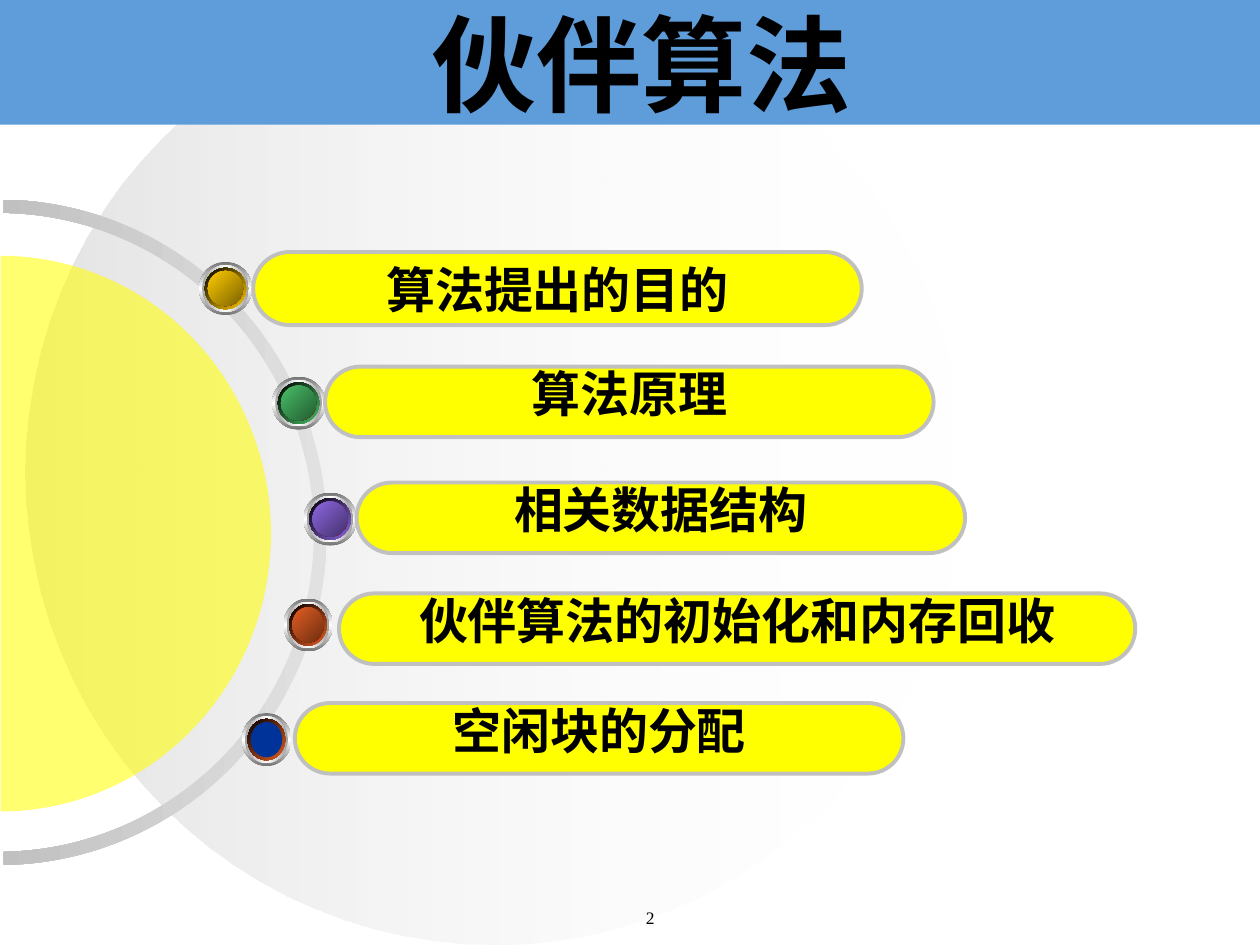
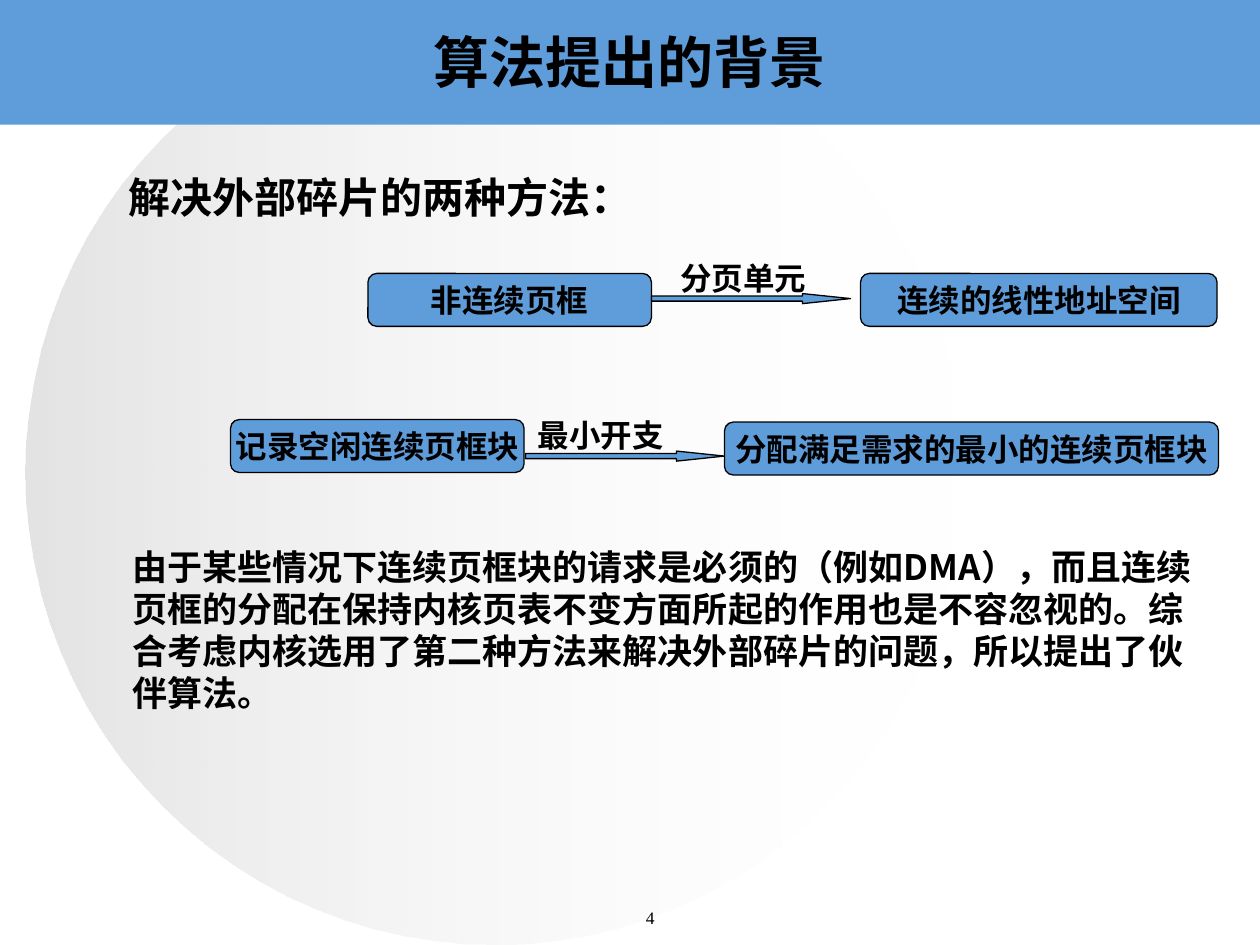
"""Build two slides that introduce the buddy algorithm."""
from dataclasses import dataclass
from typing import NamedTuple, Optional, Union

from lxml import etree
from pptx import Presentation
from pptx.dml.color import RGBColor
from pptx.enum.shapes import MSO_SHAPE
from pptx.enum.text import MSO_ANCHOR, PP_ALIGN
from pptx.oxml.ns import qn
from pptx.shapes.autoshape import Shape
from pptx.slide import Slide
from pptx.util import Inches, Pt

OVAL, RECT, ARC = MSO_SHAPE.OVAL, MSO_SHAPE.RECTANGLE, MSO_SHAPE.BLOCK_ARC
PILL, ARROW = MSO_SHAPE.ROUNDED_RECTANGLE, MSO_SHAPE.RIGHT_ARROW
NODE = MSO_SHAPE.FLOWCHART_ALTERNATE_PROCESS
MID, TOP = MSO_ANCHOR.MIDDLE, MSO_ANCHOR.TOP
LEFT, CENTER = PP_ALIGN.LEFT, PP_ALIGN.CENTER

SANS, CJK, SERIF = "Arial", "Noto Sans CJK SC", "Times New Roman"
HEX = {
    "black": "000000", "white": "FFFFFF", "pale": "FEFEFE",
    "band": "5E9CDA", "yellow": "FFFF00", "silver": "C0C0C0",
    "mist": "E1E1E1", "steel": "757575", "ash": "A1A1A1",
    "red": "FF0000", "wine": "890000", "navy": "003399",
    "gold": "FFCC00", "bronze": "7B6200", "green": "48BE67",
    "pine": "225C31", "violet": "8D67E1", "plum": "44316C",
    "rust": "E35E23", "brown": "6D2D10",
}


class Box(NamedTuple):
    left: float
    top: float
    width: float
    height: float


class Tint(NamedTuple):
    name: str
    alpha: int = 100


class Blend(NamedTuple):
    angle: int
    tints: tuple[Tint, ...]


Fill = Union[Tint, Blend]


class Style(NamedTuple):
    size: int
    font: str = SANS
    bold: bool = True
    align: PP_ALIGN = CENTER
    anchor: MSO_ANCHOR = MID


@dataclass
class Topic:
    text: str
    bar: Box
    ball: Box
    hue: str
    core: Fill
    lift: float = 0.14


@dataclass
class Step:
    start: str
    label: str
    goal: str
    first: Box
    last: Box
    arrow: Box
    note: Box


def blend(angle: int, *names: str) -> Blend:
    return Blend(angle, tuple(Tint(name) for name in names))


def add_tint(parent: etree._Element, tint: Tint) -> None:
    color = etree.SubElement(parent, qn("a:srgbClr"), val=HEX[tint.name])
    if tint.alpha < 100:
        etree.SubElement(color, qn("a:alpha"), val=str(tint.alpha * 1000))


def paint(shape: Shape, fill: Fill) -> None:
    props = shape._element.spPr
    if isinstance(fill, Tint):
        node = etree.Element(qn("a:solidFill"))
        add_tint(node, fill)
    else:
        node = etree.Element(qn("a:gradFill"), rotWithShape="1")
        stops = etree.SubElement(node, qn("a:gsLst"))
        for i, tint in enumerate(fill.tints):
            pos = str(100000 * i // (len(fill.tints) - 1))
            add_tint(etree.SubElement(stops, qn("a:gs"), pos=pos), tint)
        etree.SubElement(node, qn("a:lin"), ang=str(fill.angle * 60000), scaled="1")
    props.find(qn("a:prstGeom")).addnext(node)


def add_form(shapes, kind: MSO_SHAPE, box: Box, fill: Fill, line: str = "",
             weight: float = 0.75, bends: tuple[float, ...] = ()) -> Shape:
    shape = shapes.add_shape(kind, *map(Inches, box))
    shape.shadow.inherit = False
    paint(shape, fill)
    for i, bend in enumerate(bends):
        shape.adjustments[i] = bend
    if line:
        shape.line.color.rgb = RGBColor.from_string(HEX[line])
        shape.line.width = Pt(weight)
    else:
        shape.line.fill.background()
    return shape


def write(shape: Shape, text: str, style: Style, wrap: bool = True) -> None:
    frame = shape.text_frame
    frame.word_wrap = wrap
    frame.vertical_anchor = style.anchor
    para = frame.paragraphs[0]
    para.text = text
    para.alignment = style.align
    para.line_spacing = Pt(round(style.size * 1.2))
    para.font.size = Pt(style.size)
    para.font.name = style.font
    para.font.bold = style.bold
    para.font.color.rgb = RGBColor.from_string(HEX["black"])


def add_text(slide: Slide, box: Box, text: str, style: Style) -> Shape:
    shape = slide.shapes.add_textbox(*map(Inches, box))
    write(shape, text, style)
    return shape


DISC = Blend(180, (Tint("pale", 0), Tint("silver", 44)))
PAGE = Style(10, SERIF, bold=False, anchor=TOP)
LABEL = Style(18, align=LEFT, anchor=TOP)


def add_slide(deck, title: str, box: Box, size: int, page: str) -> Slide:
    slide = deck.slides.add_slide(deck.slide_layouts[6])
    add_form(slide.shapes, OVAL, Box(0.2, 0, 7.44, 7.5), DISC)
    add_form(slide.shapes, RECT, Box(0, 0, 10, 0.99), Tint("band"))
    add_text(slide, box, title, Style(size, CJK))
    foot = add_text(slide, Box(4.58, 7.15, 0.92, 0.29), page, PAGE)
    foot.text_frame.margin_left = Inches(0.34)
    return slide


def add_ball(slide: Slide, topic: Topic) -> None:
    group = slide.shapes.add_group_shape()
    glow = [blend(135, "wine", "red", "wine")] if isinstance(topic.core, Blend) else []
    layers = [
        (0, [blend(90, "steel", "white", "steel")]),
        (0.05, [blend(180, "ash", "white", "ash")]),
        (0.09, [blend(225, "pale", "red", "pale"), blend(225, topic.hue, "black")]),
        (0.14, glow + [topic.core]),
    ]
    left, top, width, height = topic.ball
    for trim, fills in layers:
        box = Box(left + trim / 2, top + trim / 2, width - trim, height - trim)
        for fill in fills:
            add_form(group.shapes, OVAL, box, fill)


def add_bar(slide: Slide, topic: Topic) -> None:
    bar = add_form(slide.shapes, PILL, topic.bar, Tint("yellow"), "silver", 2.25, (0.5,))
    bar.text_frame.margin_top = 0
    bar.text_frame.margin_bottom = Inches(topic.lift)
    write(bar, topic.text, Style(28))


def add_step(slide: Slide, step: Step) -> None:
    band = Tint("band")
    for text, box in ((step.start, step.first), (step.goal, step.last)):
        node = add_form(slide.shapes, NODE, box, band, "black")
        write(node, text, Style(18), wrap=False)
    add_form(slide.shapes, ARROW, step.arrow, band, "black", bends=(0.5, 4.77))
    add_text(slide, step.note, step.label, LABEL)


TOPICS = [
    Topic("算法提出的目的", Box(2.01, 2, 4.83, 0.58), Box(1.58, 2.08, 0.42, 0.42),
          "gold", blend(225, "bronze", "gold"), 0),
    Topic("算法原理", Box(2.58, 2.91, 4.83, 0.56), Box(2.16, 2.99, 0.42, 0.42),
          "green", blend(225, "pine", "green")),
    Topic("相关数据结构", Box(2.83, 3.83, 4.83, 0.56), Box(2.41, 3.91, 0.42, 0.42),
          "violet", blend(225, "plum", "violet")),
    Topic("伙伴算法的初始化和内存回收", Box(2.69, 4.71, 6.32, 0.56),
          Box(2.25, 4.75, 0.39, 0.42), "rust", blend(225, "brown", "rust")),
    Topic("空闲块的分配", Box(2.34, 5.58, 4.83, 0.56), Box(1.92, 5.66, 0.39, 0.42),
          "rust", Tint("navy")),
]
STEPS = [
    Step("非连续页框", "分页单元", "连续的线性地址空间",
         Box(2.92, 2.17, 2.25, 0.42), Box(6.83, 2.17, 2.83, 0.42),
         Box(5.17, 2.33, 1.58, 0.08), Box(5.3, 2, 1.29, 0.4)),
    Step("记录空闲连续页框块", "最小开支", "分配满足需求的最小的连续页框块",
         Box(1.83, 3.33, 2.33, 0.42), Box(5.75, 3.35, 3.92, 0.42),
         Box(4.17, 3.58, 1.58, 0.08), Box(4.17, 3.25, 1.29, 0.4)),
]
REASON = (
    "由于某些情况下连续页框块的请求是必须的（例如DMA），而且连续页框的分配在保持"
    "内核页表不变方面所起的作用也是不容忽视的。综合考虑内核选用了第二种方法来解决"
    "外部碎片的问题，所以提出了伙伴算法。"
)


def add_agenda(deck) -> None:
    slide = add_slide(deck, " 伙伴算法", Box(0, 0, 10, 1), 60, "2")
    ring = add_form(slide.shapes, ARC, Box(-2.65, 1.62, 5.28, 5.21),
                    blend(90, "mist", "silver", "mist"), bends=(108.52, 215.48, 0.02))
    half = add_form(slide.shapes, ARC, Box(-2.2, 2.09, 4.41, 4.29),
                    Tint("yellow", 56), bends=(108, 0, 0.5))
    ring.rotation = half.rotation = 90
    for topic in TOPICS:
        add_ball(slide, topic)
        add_bar(slide, topic)


def add_cause(deck) -> None:
    slide = add_slide(deck, "算法提出的背景", Box(0.51, 0.22, 8.98, 0.53), 32, "4")
    add_text(slide, Box(0.92, 1.31, 8.63, 0.5), "解决外部碎片的两种方法：",
             Style(24, CJK, align=LEFT, anchor=TOP))
    for step in STEPS:
        add_step(slide, step)
    add_text(slide, Box(0.95, 4.28, 8.71, 1.44), REASON,
             Style(20, CJK, align=LEFT, anchor=TOP))


def main() -> None:
    deck = Presentation()
    deck.slide_width, deck.slide_height = Inches(10), Inches(7.5)
    add_agenda(deck)
    add_cause(deck)
    deck.save("out.pptx")


if __name__ == "__main__":
    main()
